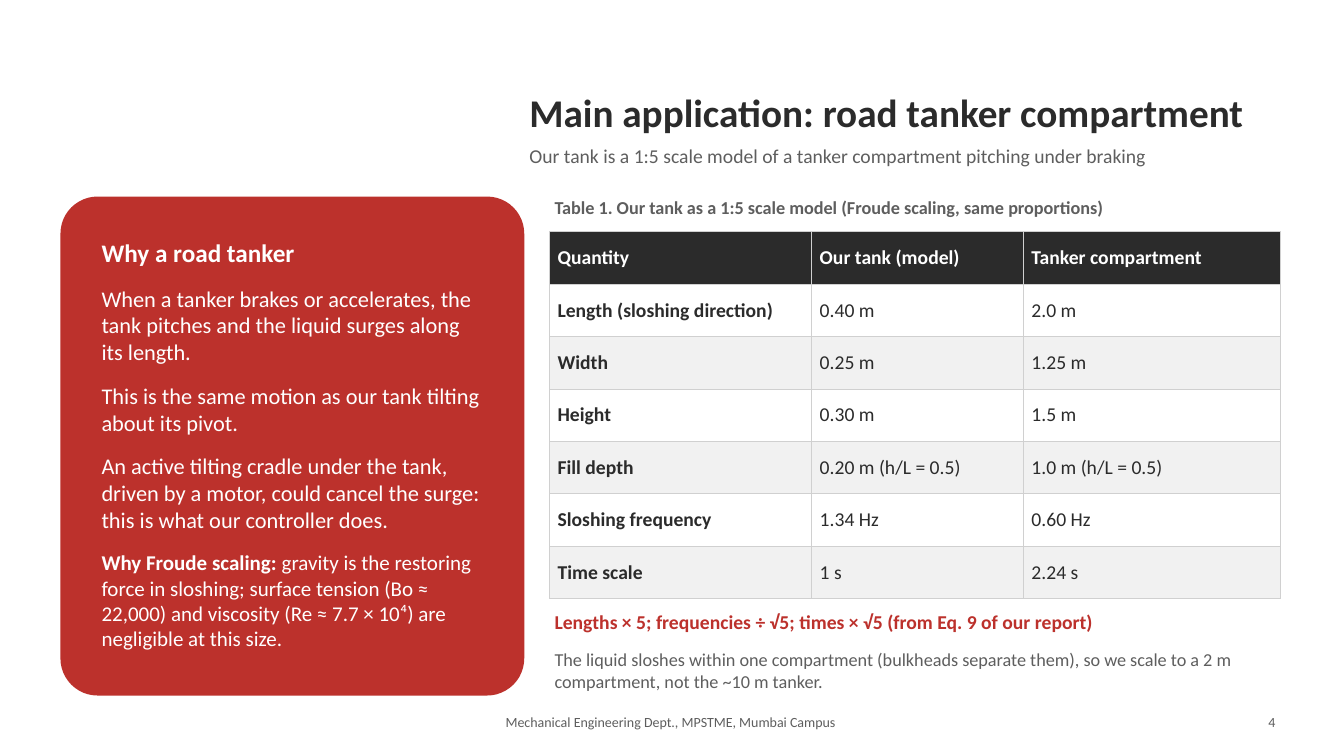
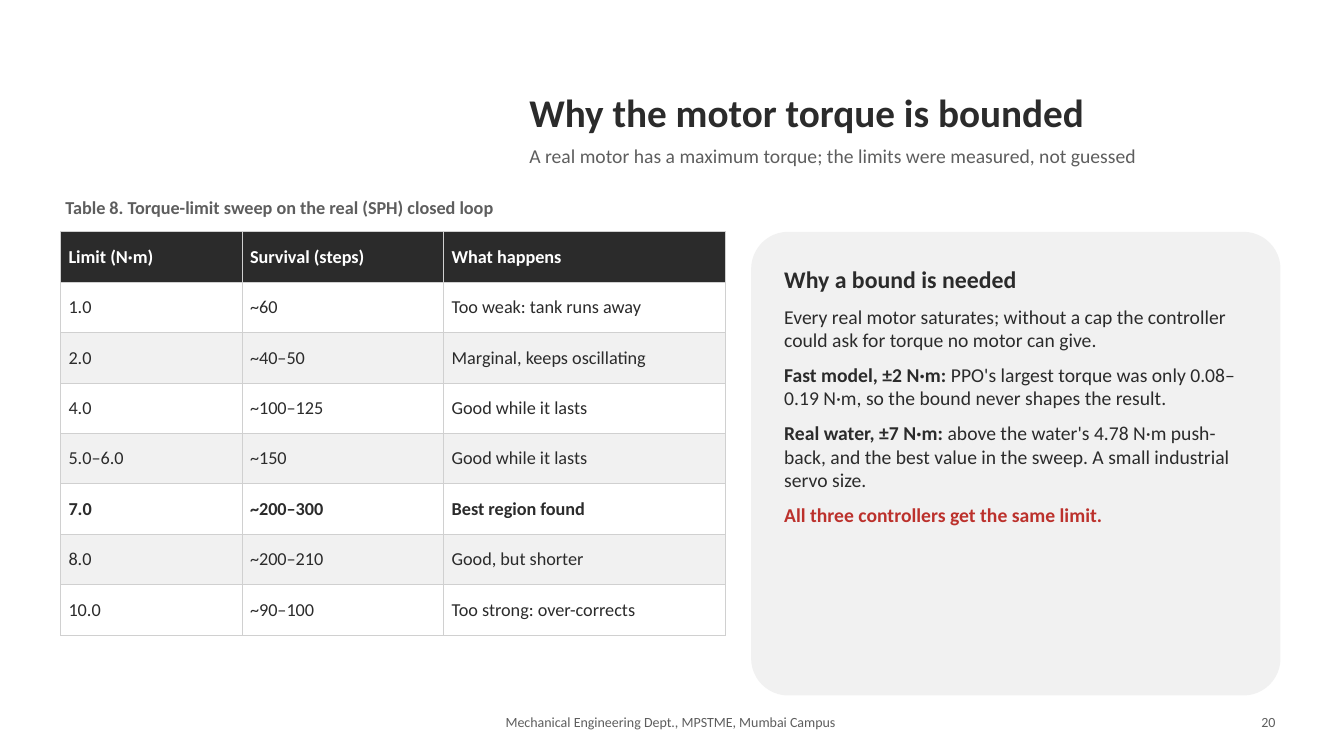
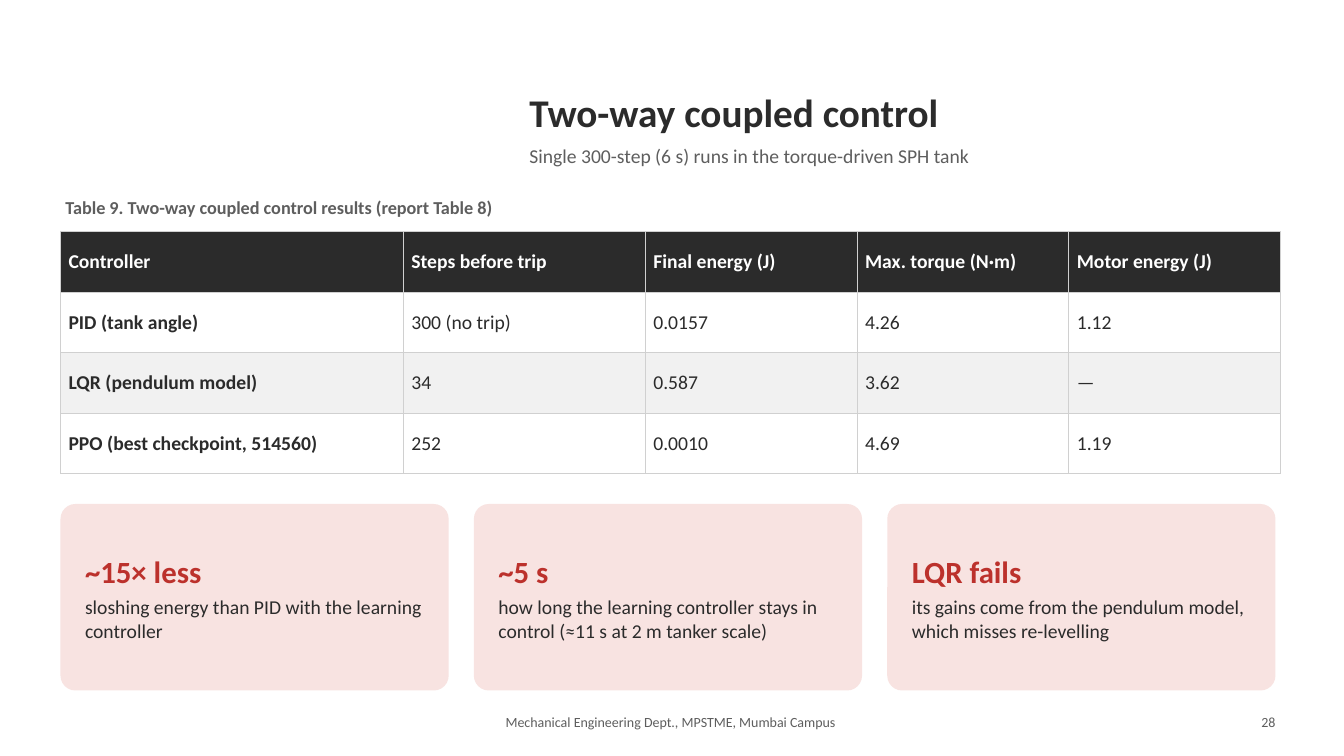
"""Build three slides on sloshing control in a road tanker model."""
from dataclasses import dataclass
from typing import NamedTuple

import pptx
import pptx.dml.color
import pptx.enum.shapes
import pptx.enum.text
import pptx.oxml
import pptx.oxml.ns
import pptx.slide
import pptx.text.text
import pptx.util

Inches = pptx.util.Inches
Pt = pptx.util.Pt
ALIGN = pptx.enum.text.PP_ALIGN
ANCHOR = pptx.enum.text.MSO_ANCHOR


@dataclass(frozen=True)
class Theme:
    font: str = "Calibri"
    ink: str = "2B2B2B"
    muted: str = "5E5E5E"
    accent: str = "BC312C"
    tint: str = "F8E3E1"
    pale: str = "F1F1F1"
    white: str = "FFFFFF"
    rule: str = "D0D0D0"
    title: int = 28
    stat: int = 22
    lead: int = 18
    heading: int = 17
    large: int = 16
    medium: int = 15
    body: int = 14
    small: int = 13
    footer: int = 10


THEME = Theme()


class Box(NamedTuple):
    left: float
    top: float
    width: float
    height: float

    def emu(self) -> list[int]:
        return [Inches(v) for v in self]


@dataclass(frozen=True)
class Para:
    text: str
    size: int = THEME.body
    color: str = THEME.ink
    bold: bool = False
    lead: str = ""
    align: ALIGN = ALIGN.LEFT


@dataclass(frozen=True)
class Panel:
    box: Box
    fill: str
    inset: float
    gap: int
    paras: list[Para]
    anchor: ANCHOR = ANCHOR.TOP


@dataclass(frozen=True)
class Grid:
    left: float
    widths: list[float]
    row_height: float
    rows: list[list[str]]
    size: int = THEME.body
    bold_first_column: bool = True
    bold_row: int = 0


TITLE_BOX = Box(5.2, 0.8, 7.75, 0.62)
SUBTITLE_BOX = Box(5.2, 1.38, 7.75, 0.38)
FOOTER_BOX = Box(3.2, 7.03, 6.9, 0.28)
NUMBER_BOX = Box(11.9, 7.03, 0.8, 0.28)
FOOTER = "Mechanical Engineering Dept., MPSTME, Mumbai Campus"
MARGIN, RIGHT = 0.6, 12.7
CAPTION_TOP, TABLE_TOP = 1.9, 2.3


def rgb(color: str) -> pptx.dml.color.RGBColor:
    return pptx.dml.color.RGBColor.from_string(color)


def write(tf: pptx.text.text.TextFrame, paras: list[Para], inset: float,
          gap: int, anchor: ANCHOR = ANCHOR.TOP) -> None:
    tf.word_wrap = True
    tf.vertical_anchor = anchor
    tf.margin_left = tf.margin_top = tf.margin_right = tf.margin_bottom = Inches(inset)
    for i, para in enumerate(paras):
        p = tf.paragraphs[0] if i == 0 else tf.add_paragraph()
        format_para(p, para)
        p.space_after = Pt(gap)


def format_para(p, para: Para) -> None:
    p.alignment = para.align
    p.font.name = THEME.font
    p.font.size = Pt(para.size)
    p.font.color.rgb = rgb(para.color)
    p.font.bold = para.bold
    if para.lead:
        r = p.add_run()
        r.text = para.lead
        r.font.bold = True
    p.add_run().text = para.text


def add_text(slide: pptx.slide.Slide, box: Box, para: Para) -> None:
    sp = slide.shapes.add_textbox(*box.emu())
    write(sp.text_frame, [para], 0.05, 6)
    sp.text_frame.auto_size = pptx.enum.text.MSO_AUTO_SIZE.SHAPE_TO_FIT_TEXT


def add_caption(slide: pptx.slide.Slide, left: float, text: str) -> None:
    add_text(slide, Box(left, CAPTION_TOP, RIGHT - left, 0.35),
             Para(text, THEME.small, THEME.muted, True))


def add_panel(slide: pptx.slide.Slide, panel: Panel) -> None:
    sp = slide.shapes.add_shape(pptx.enum.shapes.MSO_SHAPE.ROUNDED_RECTANGLE,
                                *panel.box.emu())
    sp.adjustments[0] = 0.08
    sp.shadow.inherit = False
    sp.fill.solid()
    sp.fill.fore_color.rgb = rgb(panel.fill)
    sp.line.fill.background()
    write(sp.text_frame, panel.paras, panel.inset, panel.gap, panel.anchor)


def add_borders(cell) -> None:
    tc_pr = cell._tc.get_or_add_tcPr()
    for side in ("lnL", "lnR", "lnT", "lnB"):
        tc_pr.append(pptx.oxml.parse_xml(
            f'<a:{side} {pptx.oxml.ns.nsdecls("a")} w="{Pt(0.75)}"><a:solidFill>'
            f'<a:srgbClr val="{THEME.rule}"/></a:solidFill></a:{side}>'))


def add_grid(slide: pptx.slide.Slide, grid: Grid) -> None:
    box = Box(grid.left, TABLE_TOP, sum(grid.widths), grid.row_height * len(grid.rows))
    table = slide.shapes.add_table(len(grid.rows), len(grid.widths), *box.emu()).table
    table.horz_banding = False
    for column, width in zip(table.columns, grid.widths):
        column.width = Inches(width)
    for i, row in enumerate(grid.rows):
        table.rows[i].height = Inches(grid.row_height)
        fill = THEME.ink if i == 0 else THEME.white if i % 2 else THEME.pale
        color = THEME.white if i == 0 else THEME.ink
        for j, text in enumerate(row):
            cell = table.cell(i, j)
            bold = i in (0, grid.bold_row) or (j == 0 and grid.bold_first_column)
            format_para(cell.text_frame.paragraphs[0], Para(text, grid.size, color, bold))
            cell.vertical_anchor = ANCHOR.MIDDLE
            cell.margin_left = cell.margin_right = Inches(0.08)
            cell.margin_top = cell.margin_bottom = Inches(0.04)
            add_borders(cell)
            cell.fill.solid()
            cell.fill.fore_color.rgb = rgb(fill)


def add_slide(prs, title: str, subtitle: str, number: int) -> pptx.slide.Slide:
    slide = prs.slides.add_slide(prs.slide_layouts.get_by_name("Title Only"))
    sp = slide.shapes.title
    sp.left, sp.top, sp.width, sp.height = TITLE_BOX.emu()
    write(sp.text_frame, [Para(title, THEME.title, bold=True)], 0.05, 6, ANCHOR.MIDDLE)
    sp.text_frame.auto_size = pptx.enum.text.MSO_AUTO_SIZE.SHAPE_TO_FIT_TEXT
    add_text(slide, SUBTITLE_BOX, Para(subtitle, color=THEME.muted))
    add_text(slide, FOOTER_BOX,
             Para(FOOTER, THEME.footer, THEME.muted, align=ALIGN.CENTER))
    add_text(slide, NUMBER_BOX,
             Para(str(number), THEME.footer, THEME.muted, align=ALIGN.RIGHT))
    return slide


def add_application_slide(prs) -> None:
    slide = add_slide(
        prs, "Main application: road tanker compartment",
        "Our tank is a 1:5 scale model of a tanker compartment pitching under braking", 4)
    add_panel(slide, Panel(Box(MARGIN, 1.95, 4.6, 4.95), THEME.accent, 0.3, 12, [
        Para("Why a road tanker", THEME.lead, THEME.white, True),
        Para("When a tanker brakes or accelerates, the tank pitches and the liquid "
             "surges along its length.", THEME.large, THEME.white),
        Para("This is the same motion as our tank tilting about its pivot.",
             THEME.large, THEME.white),
        Para("An active tilting cradle under the tank, driven by a motor, could cancel "
             "the surge: this is what our controller does.", THEME.large, THEME.white),
        Para("gravity is the restoring force in sloshing; surface tension "
             "(Bo ≈ 22,000) and viscosity (Re ≈ 7.7 × 10⁴) are negligible at this size.",
             THEME.medium, THEME.white, lead="Why Froude scaling: "),
    ]))
    left = 5.45
    add_caption(slide, left,
                "Table 1. Our tank as a 1:5 scale model (Froude scaling, same proportions)")
    add_grid(slide, Grid(left, [2.6, 2.1, 2.55], 0.52, [
        ["Quantity", "Our tank (model)", "Tanker compartment"],
        ["Length (sloshing direction)", "0.40 m", "2.0 m"],
        ["Width", "0.25 m", "1.25 m"],
        ["Height", "0.30 m", "1.5 m"],
        ["Fill depth", "0.20 m (h/L = 0.5)", "1.0 m (h/L = 0.5)"],
        ["Sloshing frequency", "1.34 Hz", "0.60 Hz"],
        ["Time scale", "1 s", "2.24 s"],
    ]))
    add_text(slide, Box(left, 6, RIGHT - left, 0.35),
             Para("Lengths × 5; frequencies ÷ √5; times × √5 (from Eq. 9 of our report)",
                  color=THEME.accent, bold=True))
    add_text(slide, Box(left, 6.38, RIGHT - left, 0.55),
             Para("The liquid sloshes within one compartment (bulkheads separate them), "
                  "so we scale to a 2 m compartment, not the ~10 m tanker.",
                  THEME.small, THEME.muted))


def add_torque_slide(prs) -> None:
    slide = add_slide(
        prs, "Why the motor torque is bounded",
        "A real motor has a maximum torque; the limits were measured, not guessed", 20)
    add_caption(slide, MARGIN, "Table 8. Torque-limit sweep on the real (SPH) closed loop")
    add_grid(slide, Grid(MARGIN, [1.8, 2, 2.8], 0.5, [
        ["Limit (N·m)", "Survival (steps)", "What happens"],
        ["1.0", "~60", "Too weak: tank runs away"],
        ["2.0", "~40–50", "Marginal, keeps oscillating"],
        ["4.0", "~100–125", "Good while it lasts"],
        ["5.0–6.0", "~150", "Good while it lasts"],
        ["7.0", "~200–300", "Best region found"],
        ["8.0", "~200–210", "Good, but shorter"],
        ["10.0", "~90–100", "Too strong: over-corrects"],
    ], THEME.small, bold_first_column=False, bold_row=5))
    add_panel(slide, Panel(Box(7.45, TABLE_TOP, 5.25, 4.6), THEME.pale, 0.22, 8, [
        Para("Why a bound is needed", THEME.heading, bold=True),
        Para("Every real motor saturates; without a cap the controller could ask for "
             "torque no motor can give."),
        Para("PPO's largest torque was only 0.08–0.19 N·m, so the bound never shapes "
             "the result.", lead="Fast model, ±2 N·m: "),
        Para("above the water's 4.78 N·m push-back, and the best value in the sweep. "
             "A small industrial servo size.", lead="Real water, ±7 N·m: "),
        Para("All three controllers get the same limit.", color=THEME.accent, bold=True),
    ]))


def add_results_slide(prs) -> None:
    slide = add_slide(prs, "Two-way coupled control",
                      "Single 300-step (6 s) runs in the torque-driven SPH tank", 28)
    add_caption(slide, MARGIN, "Table 9. Two-way coupled control results (report Table 8)")
    add_grid(slide, Grid(MARGIN, [3.4, 2.4, 2.1, 2.1, 2.1], 0.6, [
        ["Controller", "Steps before trip", "Final energy (J)", "Max. torque (N·m)",
         "Motor energy (J)"],
        ["PID (tank angle)", "300 (no trip)", "0.0157", "4.26", "1.12"],
        ["LQR (pendulum model)", "34", "0.587", "3.62", "—"],
        ["PPO (best checkpoint, 514560)", "252", "0.0010", "4.69", "1.19"],
    ]))
    findings = [
        ("~15× less", "sloshing energy than PID with the learning controller"),
        ("~5 s", "how long the learning controller stays in control "
                 "(≈11 s at 2 m tanker scale)"),
        ("LQR fails", "its gains come from the pendulum model, which misses re-levelling"),
    ]
    width, gap = 3.85, 0.25
    for i, (headline, detail) in enumerate(findings):
        add_panel(slide, Panel(
            Box(MARGIN + i * (width + gap), 5, width, 1.85), THEME.tint, 0.2, 4,
            [Para(headline, THEME.stat, THEME.accent, True), Para(detail)],
            ANCHOR.MIDDLE))


def main() -> None:
    prs = pptx.Presentation()
    prs.slide_width, prs.slide_height = Inches(13.33), Inches(7.5)
    add_application_slide(prs)
    add_torque_slide(prs)
    add_results_slide(prs)
    prs.save("out.pptx")


if __name__ == "__main__":
    main()
